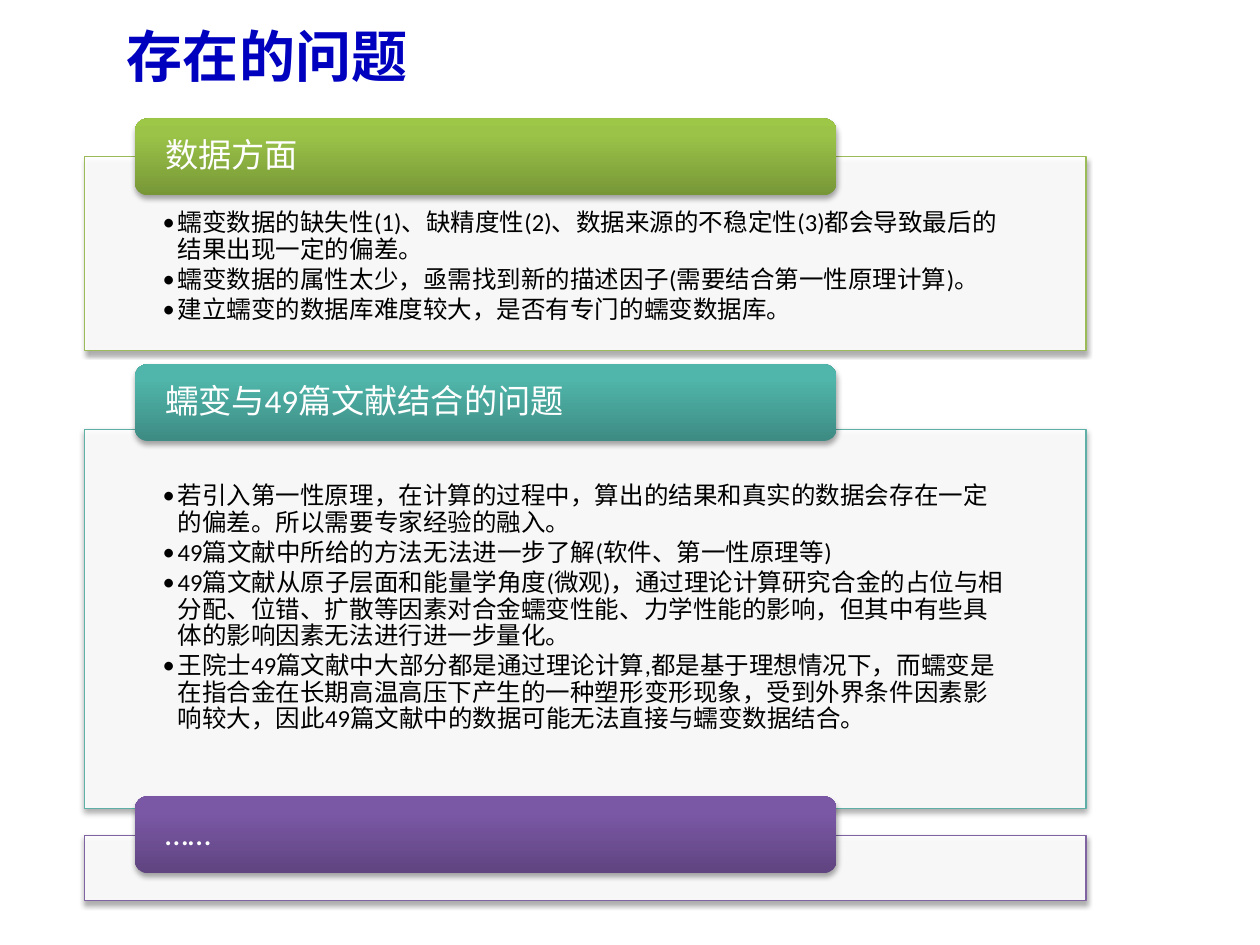
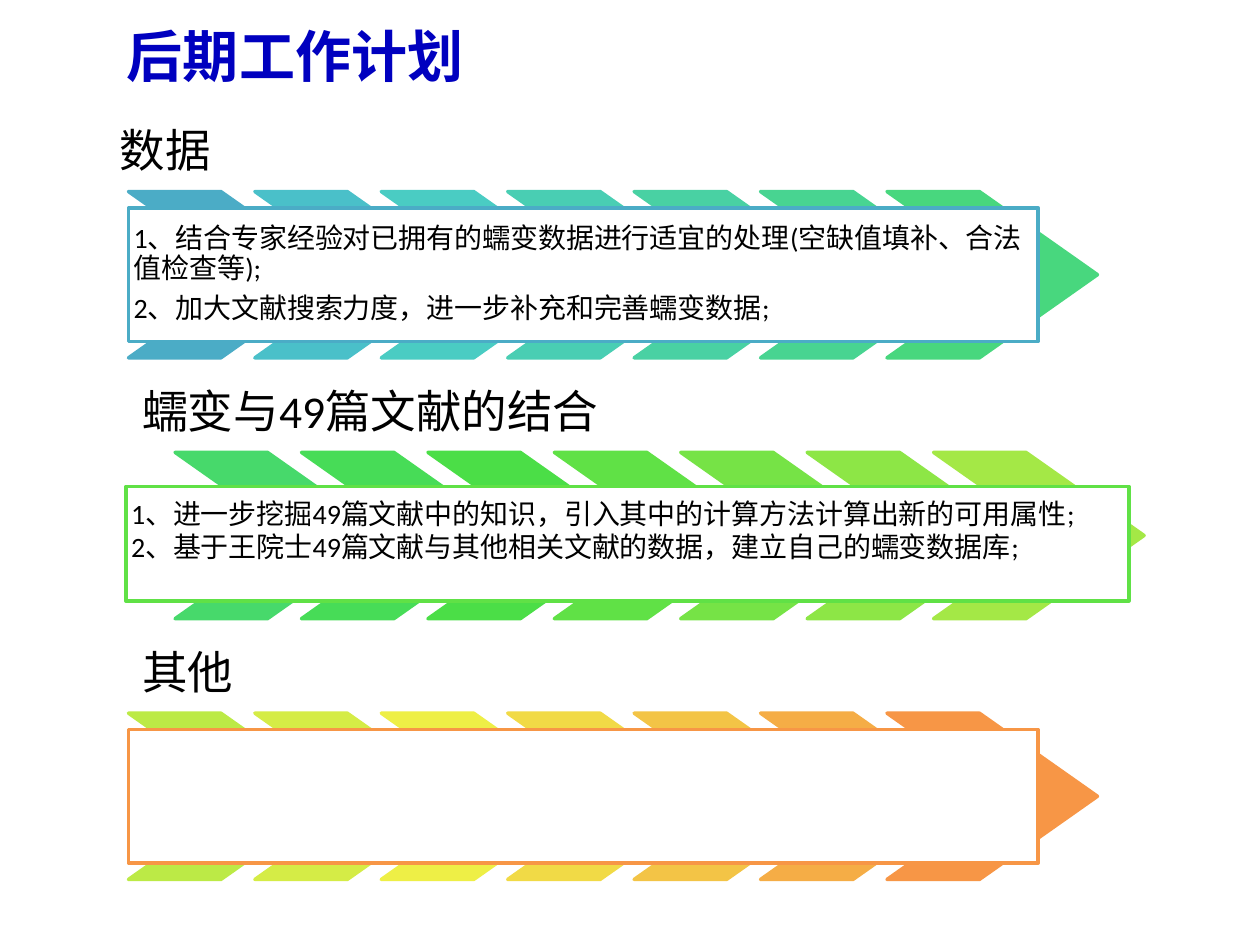
from copy import deepcopy
from lxml.etree import SubElement
from pptx import Presentation
from pptx.dml.color import RGBColor
from pptx.enum.shapes import MSO_SHAPE as Kind
from pptx.enum.text import MSO_ANCHOR as Anchor
from pptx.oxml.ns import qn
from pptx.util import Inches, Pt

HUES = {"title": "0000BF", "ink": "000000", "paper": "FFFFFF"}
LATIN, HAN = "Calibri", "Noto Sans CJK SC"

TITLES = ["存在的问题", "后期工作计划"]

ISSUES = [
    {"head": "数据方面", "top": 1.24, "high": 1.54, "tab": 0.94, "edge": "9BBB59",
     "fade": ["779737", "9BC348", "9DC746"],
     "notes": [
         "蠕变数据的缺失性(1)、缺精度性(2)、数据来源的不稳定性(3)都会导致最后的结果出现一定的偏差。",
         "蠕变数据的属性太少，亟需找到新的描述因子(需要结合第一性原理计算)。",
         "建立蠕变的数据库难度较大，是否有专门的蠕变数据库。"]},
    {"head": "蠕变与49篇文献结合的问题", "top": 3.41, "high": 3.01, "tab": 2.89, "edge": "5EAFA6",
     "fade": ["3D8B83", "50B5AA", "4EB8AC"],
     "notes": [
         "若引入第一性原理，在计算的过程中，算出的结果和真实的数据会存在一定的偏差。所以需要专家经验的融入。",
         "49篇文献中所给的方法无法进一步了解(软件、第一性原理等)",
         "49篇文献从原子层面和能量学角度(微观)，通过理论计算研究合金的占位与相分配、位错、扩散等因素对合金蠕变性能、力学性能的影响，但其中有些具体的影响因素无法进行进一步量化。",
         "王院士49篇文献中大部分都是通过理论计算,都是基于理想情况下，而蠕变是在指合金在长期高温高压下产生的一种塑形变形现象，受到外界条件因素影响较大，因此49篇文献中的数据可能无法直接与蠕变数据结合。"]},
    {"head": "……", "top": 6.63, "high": 0.52, "tab": 6.32, "edge": "8064A2",
     "fade": ["5F4480", "7B58A6", "7C57A8"], "notes": []},
]

PLANS = [
    {"head": "数据", "left": 0.84, "start": 1.02, "box": (1.02, 1.65, 7.22, 1.06), "edge": "4BACC6",
     "hues": ["4BACC6", "4AC0C9", "4ACCC3", "49CEB3", "49D1A3", "48D491", "48D77E"],
     "style": {"anchor": Anchor.MIDDLE, "pad": (0.04, 0.04), "lead": 0.9, "after": 5.6},
     "steps": ["1、结合专家经验对已拥有的蠕变数据进行适宜的处理(空缺值填补、合法值检查等);",
               "2、加大文献搜索力度，进一步补充和完善蠕变数据;"]},
    {"head": "蠕变与49篇文献的结合", "left": 1.02, "start": 1.39, "box": (1, 3.86, 7.96, 0.91), "edge": "60E146",
     "hues": ["47D96B", "47DC57", "4BDE47", "60E146", "76E346", "8DE646", "A4E846"],
     "style": {"pad": (0.04, 0.08)},
     "steps": ["1、进一步挖掘49篇文献中的知识，引入其中的计算方法计算出新的可用属性;",
               "2、基于王院士49篇文献与其他相关文献的数据，建立自己的蠕变数据库;"]},
    {"head": "其他", "left": 1.02, "start": 1.02, "box": (1.02, 5.79, 7.22, 1.06), "edge": "F79646",
     "hues": ["BCEA46", "D5EC46", "EEEF46", "F1DA46", "F3C446", "F5AD46", "F79646"],
     "style": {}, "steps": []},
]
ROW_TOP, ROW_GAP, STEP = 1.52, 2.07, 6.02 / 6


def tint(code):
    return RGBColor.from_string(code)


def write(slide, at, lines, size, hue="ink", font=LATIN, bold=False, anchor=Anchor.TOP,
          pad=(0.1, 0.05), lead=1.0, after=0, dots=False):
    frame = slide.shapes.add_textbox(*map(Inches, at)).text_frame
    frame.word_wrap = True
    frame.vertical_anchor = anchor
    frame.margin_left = Inches(pad[0])
    frame.margin_right = Inches(pad[0] - 0.01)
    frame.margin_top = Inches(pad[1])
    frame.margin_bottom = Inches(min(pad[1], 0.11))
    for i, line in enumerate(lines):
        para = frame.add_paragraph() if i else frame.paragraphs[0]
        if dots:
            props = para._p.get_or_add_pPr()
            props.set("marL", str(Inches(0.12)))
            props.set("indent", str(-Inches(0.12)))
            SubElement(props, qn("a:buFont"), typeface=LATIN)
            SubElement(props, qn("a:buChar"), char="•")
        para.line_spacing = lead
        para.space_after = Pt(after)
        run = para.add_run()
        run.text = line
        run.font.size = Pt(size)
        run.font.bold = bold
        run.font.name = font
        run.font.color.rgb = tint(HUES[hue])
        SubElement(run._r.get_or_add_rPr(), qn("a:ea"), typeface=HAN)


def draw(slide, kind, at, fill=None, edge=None, width=2):
    shape = slide.shapes.add_shape(kind, *map(Inches, at))
    shape.shadow.inherit = False
    if fill:
        shape.fill.solid()
        shape.fill.fore_color.rgb = tint(fill)
    if edge:
        shape.line.color.rgb = tint(edge)
        shape.line.width = Pt(width)
    else:
        shape.line.fill.background()
    return shape


def shade(shape):
    effects = shape._element.spPr.find(qn("a:effectLst"))
    cast = SubElement(effects, qn("a:outerShdw"), blurRad=str(Pt(3.1)), dist=str(Pt(1.8)),
                      dir="5400000", rotWithShape="0")
    color = SubElement(cast, qn("a:srgbClr"), val=HUES["ink"])
    SubElement(color, qn("a:alpha"), val="35000")


def blend(shape, codes):
    shape.fill.gradient()
    shape.fill.gradient_angle = 90
    stops = shape._element.spPr.find(qn("a:gradFill")).find(qn("a:gsLst"))
    stops.append(deepcopy(stops[-1]))
    for stop, code, place in zip(shape.fill.gradient_stops, codes, (0, 0.8, 1)):
        stop.color.rgb = tint(code)
        stop.position = place


def panel(slide, issue):
    at = (0.67, issue["top"], 7.95, issue["high"])
    box = draw(slide, Kind.RECTANGLE, at, HUES["paper"], issue["edge"], 0.75)
    color = box._element.spPr.find(qn("a:solidFill")).find(qn("a:srgbClr"))
    SubElement(color, qn("a:alpha"), val="90000")
    shade(box)
    if issue["notes"]:
        write(slide, at, issue["notes"], 14, pad=(0.62, 0.43), lead=0.9, after=2.1, dots=True)
    tab = draw(slide, Kind.ROUNDED_RECTANGLE, (1.07, issue["tab"], 5.57, 0.61))
    blend(tab, issue["fade"])
    shade(tab)
    write(slide, (1.1, issue["tab"] + 0.03, 5.51, 0.55), [issue["head"]], 19, "paper",
          anchor=Anchor.MIDDLE, pad=(0.21, 0), lead=0.9)


def row(slide, plan, top):
    write(slide, (plan["left"], top - 0.65, 7.13, 0.65), [plan["head"]], 26,
          anchor=Anchor.BOTTOM, pad=(0.11, 0.11), lead=0.9)
    for i, hue in enumerate(plan["hues"]):
        arrow = draw(slide, Kind.CHEVRON, (plan["start"] + i * STEP, top, 1.67, 1.32), hue, hue)
        arrow.adjustments[0] = 0.71
    draw(slide, Kind.RECTANGLE, plan["box"], HUES["paper"], plan["edge"])
    if plan["steps"]:
        write(slide, plan["box"], plan["steps"], 16, **plan["style"])


def main():
    deck = Presentation()
    deck.slide_width, deck.slide_height = Inches(10), Inches(7.5)
    slides = [deck.slides.add_slide(deck.slide_layouts[6]) for _ in TITLES]
    for slide, title in zip(slides, TITLES):
        write(slide, (0.91, 0, 9, 0.87), [title], 32, "title", HAN, True, Anchor.MIDDLE)
    for issue in ISSUES:
        panel(slides[0], issue)
    for i, plan in enumerate(PLANS):
        row(slides[1], plan, ROW_TOP + i * ROW_GAP)
    deck.save("out.pptx")


if __name__ == "__main__":
    main()
